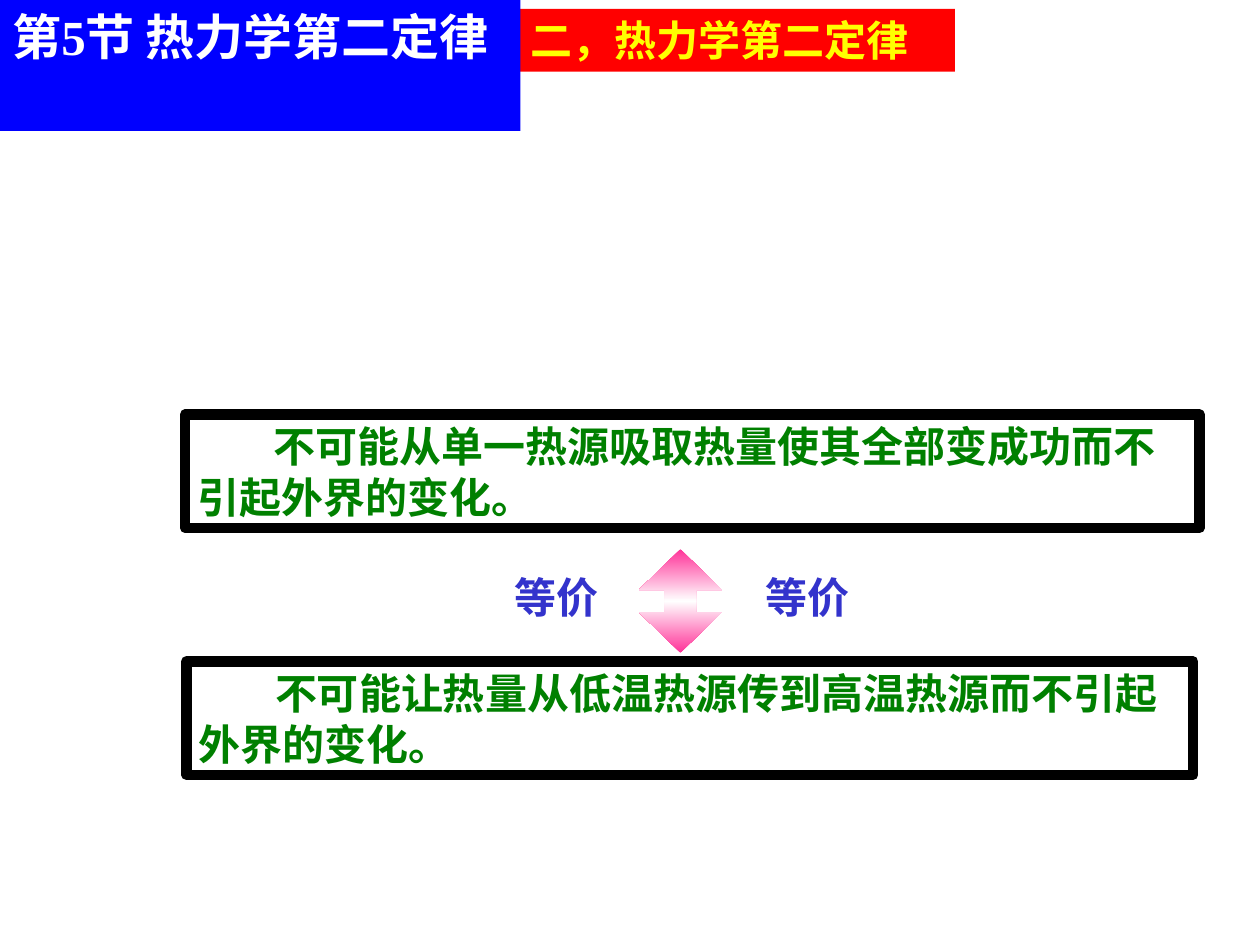
"""Build a slide on the two equivalent statements of the second law of thermodynamics."""
from lxml.etree import SubElement
from pptx import Presentation
from pptx.dml.color import RGBColor
from pptx.enum.shapes import MSO_SHAPE
from pptx.enum.text import MSO_ANCHOR, PP_ALIGN
from pptx.oxml.ns import qn
from pptx.util import Pt

BLACK = RGBColor(0, 0, 0)
WHITE = RGBColor(255, 255, 255)
GREEN = RGBColor(0, 128, 0)
INDIGO = RGBColor(0x33, 0x33, 0xCC)
RED = RGBColor(255, 0, 0)
YELLOW = RGBColor(255, 255, 0)
BLUE = RGBColor(0, 0, 255)
PINK = RGBColor(0xFF, 0x33, 0x99)
SERIF, SANS = "Times New Roman", "Noto Sans CJK JP"

STATEMENTS = [
    ("不可能从单一热源吸取热量使其全部变成功而不引起外界的变化。", (105.84, 236.88, 579.6, 64.8)),
    ("不可能让热量从低温热源传到高温热源而不引起外界的变化。", (106.56, 378, 575.28, 64.8)),
]
EQUIVALENCE = ("等价", [(426.96, 323.28, 69.12, 36), (283.68, 323.28, 69.12, 36)])
HEADINGS = [
    ("二，热力学第二定律", (295.92, 5.04, 249.84, 36), RED, {"name": SANS, "size": Pt(24)}, YELLOW),
    ("第5节 热力学第二定律", (0, 0, 297.36, 74.88), BLUE, {"name": SERIF, "size": Pt(28)}, WHITE),
]
ARROW_BOX = (359.28, 319.68, 59.04, 47.52)
ARROW_ADJUSTMENTS = (0.381, 0.489)
ARROW_STOPS = [(0, PINK), (50, WHITE), (100, PINK)]
BODY_FONT = {"name": SERIF, "size": Pt(24)}
SPACED = {"space_before": Pt(15)}
FIRST_LINE_INDENT = Pt(43.5)


def set_attributes(target, values):
    for name, value in values.items():
        setattr(target, name, value)


def write_text(shape, text, font_values, color, paragraph_values):
    set_attributes(shape.text_frame, {"word_wrap": True, "vertical_anchor": MSO_ANCHOR.TOP})
    paragraph = shape.text_frame.paragraphs[0]
    set_attributes(paragraph, {"alignment": PP_ALIGN.LEFT, **paragraph_values})
    run = paragraph.add_run()
    run.text = text
    set_attributes(run.font, {"bold": True, **font_values})
    run.font.color.rgb = color
    SubElement(run.font._element, qn("a:ea")).set("typeface", SANS)
    return paragraph


def add_shape(slide, kind, box, fill=None, line=None):
    shape = slide.shapes.add_shape(kind, *map(Pt, box))
    shape.shadow.inherit = False
    if fill is None:
        shape.fill.background()
    else:
        shape.fill.solid()
        shape.fill.fore_color.rgb = fill
    if line is None:
        shape.line.fill.background()
    else:
        shape.line.color.rgb = line
        shape.line.width = Pt(6)
    return shape


def add_arrow(slide):
    arrow = add_shape(slide, MSO_SHAPE.LEFT_RIGHT_ARROW, ARROW_BOX)
    arrow.rotation = 270
    for index, value in enumerate(ARROW_ADJUSTMENTS):
        arrow.adjustments[index] = value
    arrow.fill.gradient()
    gradient = arrow._element.spPr.find(qn("a:gradFill"))
    gradient.set("rotWithShape", "0")
    stops = gradient.find(qn("a:gsLst"))
    for stop in list(stops):
        stops.remove(stop)
    for percent, color in ARROW_STOPS:
        stop = SubElement(stops, qn("a:gs"), pos=str(percent * 1000))
        SubElement(stop, qn("a:srgbClr"), val=str(color))
    gradient.find(qn("a:lin")).set("ang", "5400000")


def main():
    presentation = Presentation()
    set_attributes(presentation, {"slide_width": Pt(720), "slide_height": Pt(540)})
    slide = presentation.slides.add_slide(presentation.slide_layouts[6])
    for text, box in STATEMENTS:
        shape = add_shape(slide, MSO_SHAPE.RECTANGLE, box, line=BLACK)
        paragraph = write_text(shape, text, BODY_FONT, GREEN, SPACED)
        paragraph._p.get_or_add_pPr().set("indent", str(FIRST_LINE_INDENT))
    add_arrow(slide)
    label, boxes = EQUIVALENCE
    for box in boxes:
        shape = slide.shapes.add_textbox(*map(Pt, box))
        write_text(shape, label, BODY_FONT, INDIGO, {"alignment": PP_ALIGN.CENTER, **SPACED})
    for text, box, fill, font_values, color in HEADINGS:
        shape = add_shape(slide, MSO_SHAPE.RECTANGLE, box, fill=fill)
        write_text(shape, text, font_values, color, {})
    presentation.save("out.pptx")


if __name__ == "__main__":
    main()
